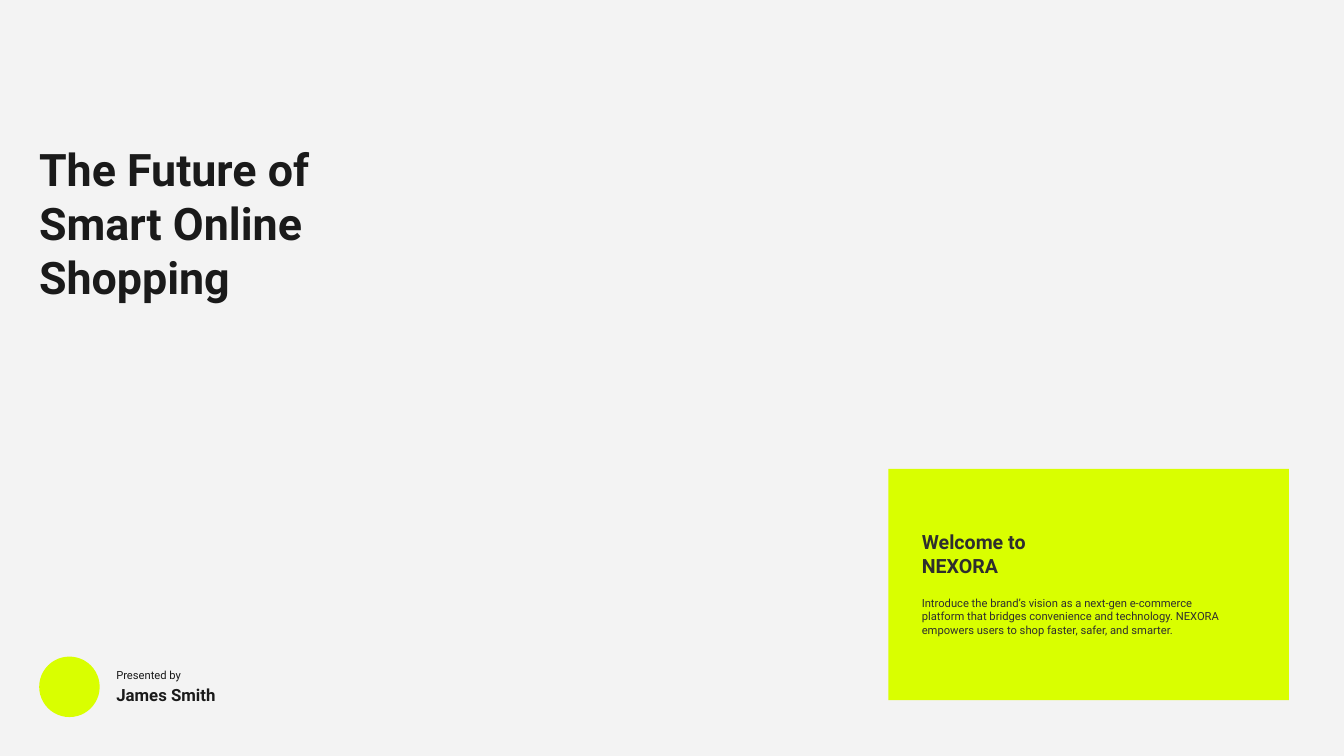
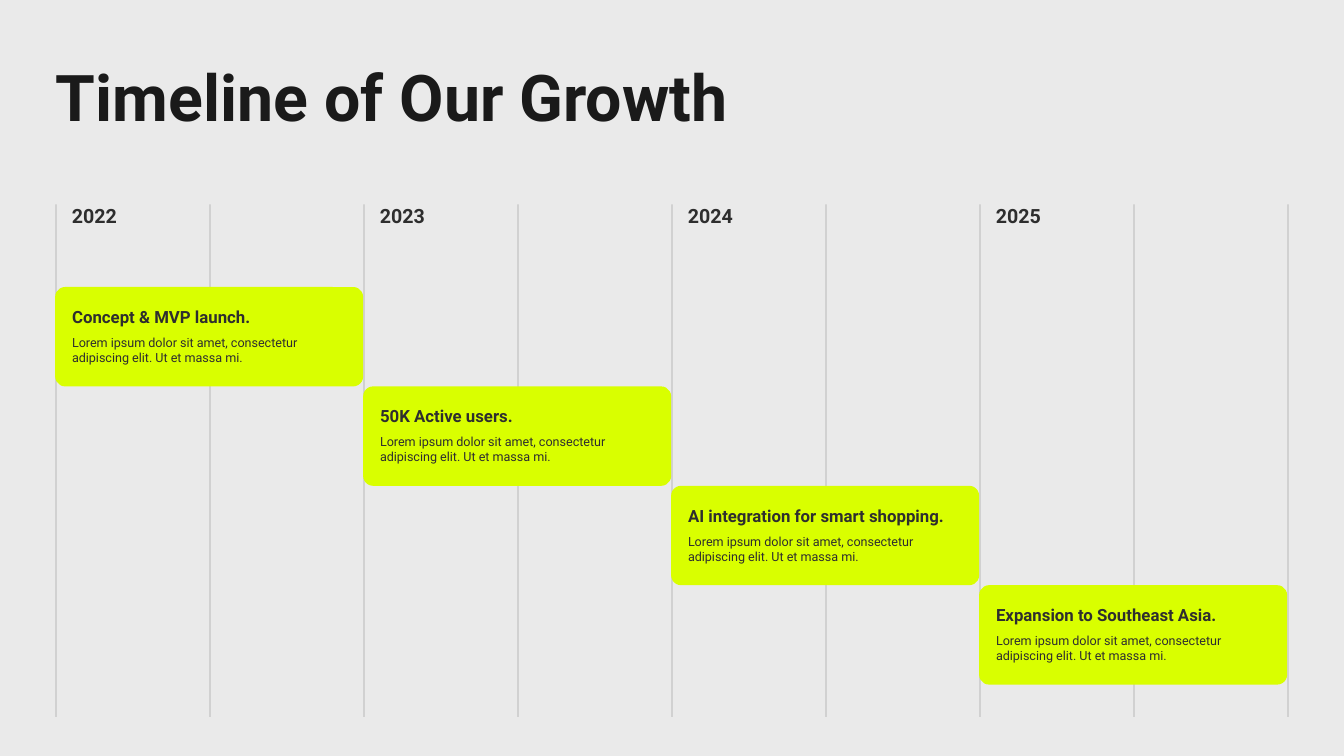
from dataclasses import dataclass

import pptx
import pptx.util
import pptx.dml.color
import pptx.enum.shapes
import pptx.enum.text
import pptx.oxml.ns
from lxml import etree

Pt = pptx.util.Pt
RGB = pptx.dml.color.RGBColor.from_string
Shape = pptx.enum.shapes.MSO_SHAPE


@dataclass(frozen=True)
class Theme:
    font: str = "Roboto"
    lime: str = "D9FF00"
    ink: str = "1A1A1A"
    body_ink: str = "2E2E2E"
    rule: str = "000000"
    rule_opacity: int = 30
    cover_back: str = "F3F3F3"
    timeline_back: str = "EAEAEA"
    cover_title: float = 48
    title: float = 69
    subhead: float = 21
    label: float = 18
    body: float = 13.5
    small: float = 12


@dataclass(frozen=True)
class Box:
    left: float
    top: float
    width: float
    height: float

    def inner(self, dx, dy, width, height):
        """Box of its own size, offset from this box's top left corner."""
        return Box(self.left + dx, self.top + dy, width, height)

    def lengths(self):
        return [Pt(v) for v in (self.left, self.top, self.width, self.height)]


THEME = Theme()
COVER_TITLE = ["The Future of", "Smart Online", "Shopping"]
WELCOME = ["Welcome to", "NEXORA"]
VISION = [
    "Introduce the brand’s vision as a next-gen e-commerce",
    "platform that bridges convenience and technology. NEXORA",
    "empowers users to shop faster, safer, and smarter.",
]
MILESTONE_DETAIL = [
    "Lorem ipsum dolor sit amet, consectetur",
    "adipiscing elit. Ut et massa mi.",
]
# year, milestone, width of the milestone's heading
MILESTONES = [
    ("2022", "Concept & MVP launch.", 223),
    ("2023", "50K Active users.", 169),
    ("2024", "AI integration for smart shopping.", 311),
    ("2025", "Expansion to Southeast Asia.", 270),
]


def write(frame, lines, size, color, bold=False, wrap=True):
    frame.word_wrap = wrap
    frame.auto_size = pptx.enum.text.MSO_AUTO_SIZE.SHAPE_TO_FIT_TEXT
    frame.vertical_anchor = pptx.enum.text.MSO_ANCHOR.TOP
    frame.text = "\n".join(lines)
    for paragraph in frame.paragraphs:
        paragraph.alignment = pptx.enum.text.PP_ALIGN.LEFT
        font = paragraph.font
        font.name, font.size, font.bold = THEME.font, Pt(size), bold
        font.color.rgb = RGB(color)


def add_text(slide, box, lines, size, color=THEME.body_ink, bold=False, wrap=True):
    frame = slide.shapes.add_textbox(*box.lengths()).text_frame
    write(frame, lines, size, color, bold, wrap)


def add_panel(slide, box, kind):
    panel = slide.shapes.add_shape(kind, *box.lengths())
    panel.shadow.inherit = False
    panel.fill.solid()
    panel.fill.fore_color.rgb = RGB(THEME.lime)
    panel.line.fill.background()
    return panel


def add_rule(slide, x, top, bottom):
    rule = slide.shapes.add_connector(
        pptx.enum.shapes.MSO_CONNECTOR.STRAIGHT, Pt(x), Pt(bottom), Pt(x), Pt(top))
    rule.line.width = Pt(0.75)
    rule.line.color.rgb = RGB(THEME.rule)
    qn = pptx.oxml.ns.qn
    properties = rule._element.spPr
    color = properties.find(".//" + qn("a:srgbClr"))
    etree.SubElement(color, qn("a:alpha"), val=str(THEME.rule_opacity * 1000))
    etree.SubElement(properties, qn("a:effectLst"))


def add_titled_slide(deck, back, box, lines, size, wrap=True):
    slide = deck.slides.add_slide(deck.slide_layouts.get_by_name("Title Only"))
    slide.background.fill.solid()
    slide.background.fill.fore_color.rgb = RGB(back)
    title = slide.shapes.title
    title.left, title.top, title.width, title.height = box.lengths()
    write(title.text_frame, lines, size, THEME.ink, bold=True, wrap=wrap)
    return slide


def add_presenter(slide, box):
    add_panel(slide, box.inner(0, 0, box.height, box.height), Shape.OVAL)
    add_text(slide, box.inner(75.5, 8.5, 91.5, 21.5), ["Presented by"],
             THEME.small, THEME.ink, wrap=False)
    add_text(slide, box.inner(75.5, 26.5, 123, 29.5), ["James Smith"],
             THEME.label, THEME.ink, bold=True, wrap=False)


def add_welcome(slide, box):
    add_panel(slide, box, Shape.RECTANGLE)
    add_text(slide, box.inner(28.8, 132.5, 387.5, 51), VISION, THEME.small)
    add_text(slide, box.inner(28.8, 62, 173.5, 58.3), WELCOME, THEME.subhead, bold=True)


def add_milestone(slide, box, milestone, heading_width):
    add_panel(slide, box, Shape.ROUNDED_RECTANGLE).adjustments[0] = 0.1
    add_text(slide, box.inner(11, 17.3, heading_width, 29), [milestone],
             THEME.label, bold=True, wrap=False)
    add_text(slide, box.inner(11, 47.5, 302.5, 40.5), MILESTONE_DETAIL, THEME.body)


def add_timeline(slide, box):
    column = box.width / len(MILESTONES)
    for half in range(2 * len(MILESTONES) + 1):
        add_rule(slide, box.left + half * column / 2, box.top, box.top + box.height)
    card_height = 106.5
    for i, (year, milestone, heading_width) in enumerate(MILESTONES):
        x = i * column
        add_text(slide, box.inner(x + 10, -3.8, 67, 34), [year],
                 THEME.subhead, bold=True, wrap=False)
        card = box.inner(x - 0.9, 88.5 + i * card_height, column, card_height)
        add_milestone(slide, card, milestone, heading_width)


def add_cover_slide(deck):
    slide = add_titled_slide(deck, THEME.cover_back, Box(34.6, 148.5, 354, 181.5),
                             COVER_TITLE, THEME.cover_title)
    add_presenter(slide, Box(42, 703.5, 200, 64.8))
    add_welcome(slide, Box(951.8, 502.5, 429.2, 247.7))


def add_timeline_slide(deck):
    slide = add_titled_slide(deck, THEME.timeline_back, Box(52.6, 57.6, 794, 90.7),
                             ["Timeline of Our Growth"], THEME.title, wrap=False)
    add_timeline(slide, Box(60, 219, 1320, 549))


def main():
    deck = pptx.Presentation()
    deck.slide_width, deck.slide_height = Pt(1440), Pt(810)
    add_cover_slide(deck)
    add_timeline_slide(deck)
    deck.save("out.pptx")


if __name__ == "__main__":
    main()
